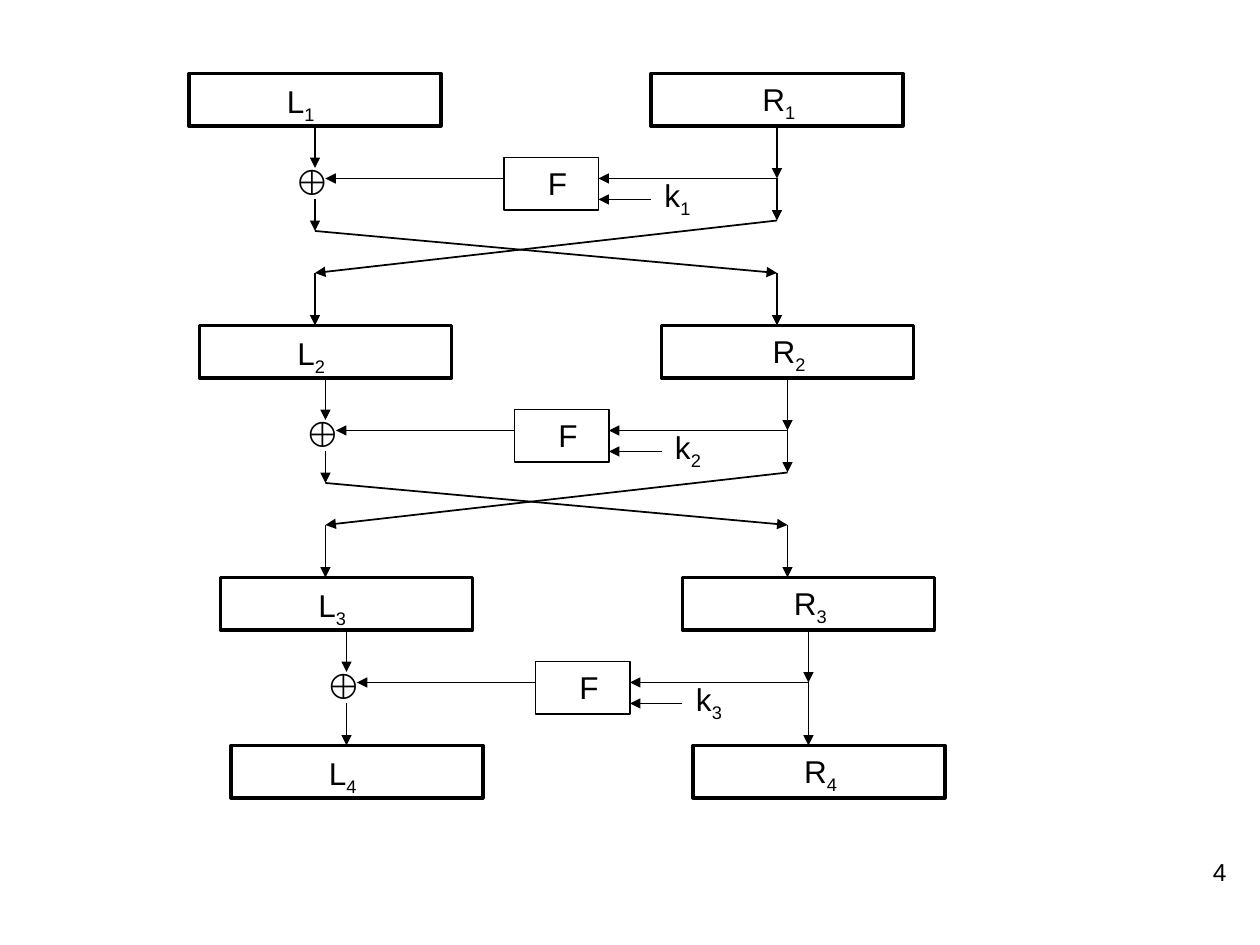
from dataclasses import dataclass

from lxml.etree import SubElement
from pptx import Presentation
from pptx.dml.color import RGBColor
from pptx.enum.shapes import MSO_CONNECTOR, MSO_SHAPE
from pptx.enum.text import PP_ALIGN
from pptx.oxml.ns import qn
from pptx.util import Inches, Pt


@dataclass(frozen=True)
class Theme:
    """Colours, fonts, type sizes and line widths."""
    ink: RGBColor = RGBColor(0, 0, 0)
    font: str = "Arial"
    symbol_font: str = "Courier New"
    label_size: int = 18
    symbol_size: int = 24
    page_size: int = 14
    thin: int = 1
    thick: int = 2


THEME = Theme()
COLUMNS_PER_INCH = 12

# Column and row where each round starts on the grid
ROUND_STARTS = [(18, 7), (19, 31), (21, 55), (22, 71)]

# Columns counted from the left edge of a round
LEFT_WIRE, RIGHT_WIRE = 12, 56
RIGHT_HALF = 44
HALF_WIDTH, HALF_HEIGHT = 24, 5
FUNCTION_LEFT, FUNCTION_RIGHT = 30, 39


def grid(cells):
    """Turn a number of grid cells into a length."""
    return Inches(cells / COLUMNS_PER_INCH)


def add_box(slide, left, top, width, height, weight):
    """Draw an unfilled outlined rectangle."""
    box = slide.shapes.add_shape(
        MSO_SHAPE.RECTANGLE, grid(left), grid(top), grid(width), grid(height))
    box.shadow.inherit = False
    box.fill.background()
    box.line.color.rgb = THEME.ink
    box.line.width = Pt(weight)


def add_arrow(slide, start, end):
    """Draw a straight arrow between two grid points."""
    arrow = slide.shapes.add_connector(
        MSO_CONNECTOR.STRAIGHT, *map(grid, start + end))
    arrow.line.color.rgb = THEME.ink
    arrow.line.width = Pt(THEME.thin)
    SubElement(arrow.line._get_or_add_ln(), qn("a:tailEnd"), type="triangle")
    SubElement(arrow._element.spPr, qn("a:effectLst"))


def add_label(slide, text, left, top, width, height=4.8, subscript="",
              size=THEME.label_size, font=THEME.font,
              align=PP_ALIGN.CENTER, wrap=False):
    """Write a label with an optional subscript."""
    frame = slide.shapes.add_textbox(
        grid(left), grid(top), grid(width), grid(height)).text_frame
    frame.word_wrap = wrap
    line = frame.paragraphs[0]
    line.alignment = align
    for part in filter(None, (text, subscript)):
        run = line.add_run()
        run.text = part
        run.font.size = Pt(size)
        run.font.name = font
        run.font.color.rgb = THEME.ink
    if subscript:
        run.font._element.set("baseline", "-25000")


def add_halves(slide, column, row, number):
    """Draw the left and right half blocks that enter a round."""
    for offset in (0, RIGHT_HALF):
        add_box(slide, column + offset, row, HALF_WIDTH, HALF_HEIGHT,
                THEME.thick)
    add_label(slide, "L", column + 8, row + 0.2, 5.28, subscript=number)
    add_label(slide, "R", column + 53.28, row, 5.76, subscript=number)


def add_round(slide, column, row, number, swaps):
    """Draw the round function, its key, the XOR and the wires."""
    add_box(slide, column + FUNCTION_LEFT, row + 8,
            FUNCTION_RIGHT - FUNCTION_LEFT, HALF_HEIGHT, THEME.thin)
    add_label(slide, "F", column + 33, row + 8, 4.2)
    add_label(slide, "k", column + RIGHT_HALF, row + 9.2, 5.04,
              subscript=number, wrap=True)
    add_label(slide, "\u2a01", column + 9, row + 7, 5.4, 6,
              size=THEME.symbol_size, font=THEME.symbol_font, wrap=True)

    left_end, right_end = (15, 14) if swaps else (16, 16)
    wires = [
        ((FUNCTION_LEFT, 10), (13, 10)),
        ((RIGHT_WIRE, 10), (FUNCTION_RIGHT, 10)),
        ((RIGHT_HALF, 12), (FUNCTION_RIGHT, 12)),
        ((LEFT_WIRE, 5), (LEFT_WIRE, 9)),
        ((RIGHT_WIRE, 5), (RIGHT_WIRE, 10)),
        ((LEFT_WIRE, 12), (LEFT_WIRE, left_end)),
        ((RIGHT_WIRE, 10), (RIGHT_WIRE, right_end)),
    ]
    if swaps:
        wires += [
            ((RIGHT_WIRE, right_end), (LEFT_WIRE, 19)),
            ((LEFT_WIRE, left_end), (RIGHT_WIRE, 19)),
            ((LEFT_WIRE, 19), (LEFT_WIRE, 24)),
            ((RIGHT_WIRE, 19), (RIGHT_WIRE, 24)),
        ]
    for (x1, y1), (x2, y2) in wires:
        add_arrow(slide, (column + x1, row + y1), (column + x2, row + y2))


def main():
    """Build the Feistel network slide."""
    deck = Presentation()
    deck.slide_width, deck.slide_height = Inches(10), Inches(7.5)
    slide = deck.slides.add_slide(deck.slide_layouts[6])

    rounds = len(ROUND_STARTS) - 1
    for index, (column, row) in enumerate(ROUND_STARTS, start=1):
        add_halves(slide, column, row, str(index))
        if index <= rounds:
            add_round(slide, column, row, str(index), swaps=index < rounds)

    add_label(slide, "4", 93, 81, 25, 6, size=THEME.page_size,
              align=PP_ALIGN.RIGHT, wrap=True)
    deck.save("out.pptx")


main()
